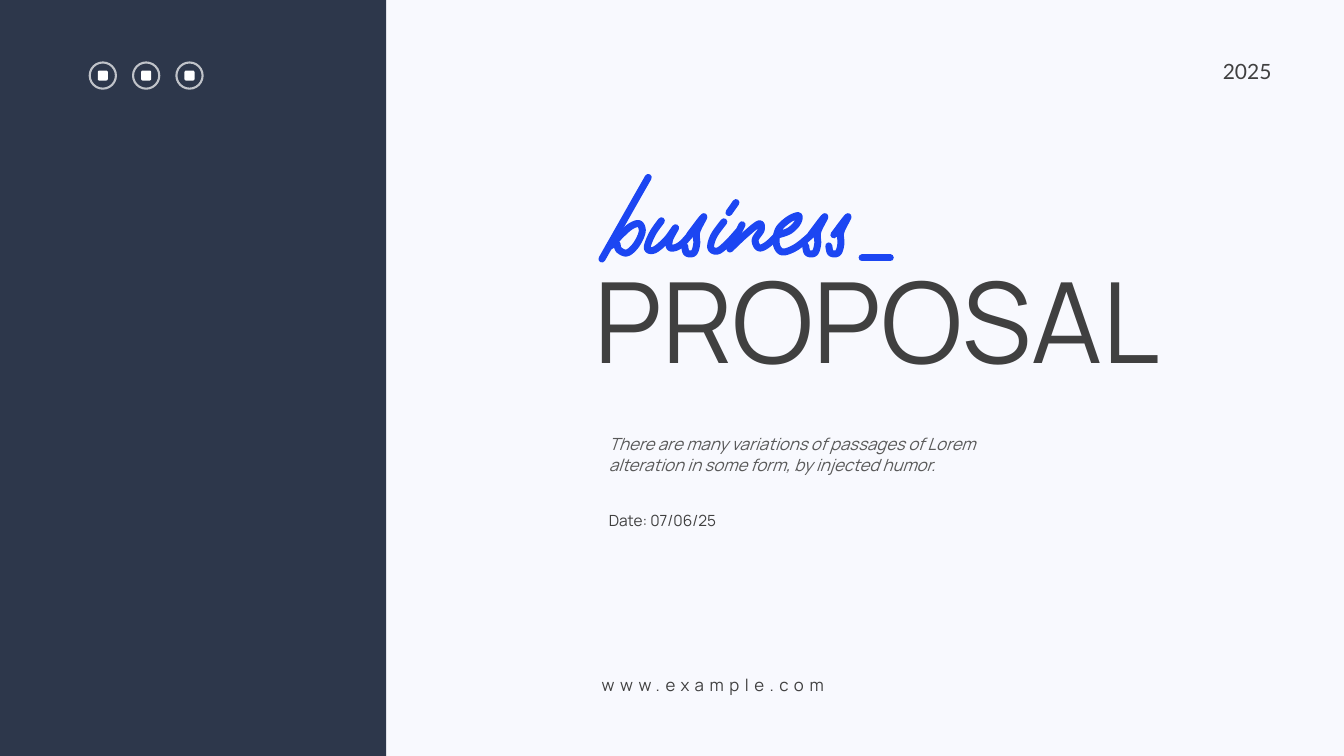
from dataclasses import dataclass

from lxml.etree import SubElement
from pptx import Presentation
from pptx.dml.color import RGBColor
from pptx.enum.shapes import MSO_SHAPE as Shape
from pptx.enum.text import MSO_AUTO_SIZE as AutoSize, PP_ALIGN as Align
from pptx.oxml.ns import qn
from pptx.util import Inches, Pt


@dataclass(frozen=True)
class Theme:
    navy: str = "2D374B"
    tint: str = "7790F7"
    blue: str = "1C46F2"
    white: str = "FFFFFF"
    dark: str = "404040"
    gray: str = "595959"
    sans: str = "Manrope"
    year_font: str = "Lato"
    title: int = 80
    year: int = 15
    body: int = 12
    small: int = 11
    ring: float = 1.5
    pen: float = 5


THEME = Theme()
UNITS_PER_INCH = 100
CURVE_STEPS = 6
BASELINE = 2.5

PEN_STROKES = {
    "b": [
        [(48, 74), (2, -7)],
        [(11, 6), (19, 15), (30, 25), (39, 28), (42, 20), (36, 7), (27, -1), (19, 2), (17, 8)],
    ],
    "u": [[(18, 31), (9, 18), (4, 4), (11, 2), (23, 12), (32, 24), (26, 12), (27, 4), (37, 7), (49, 20)]],
    "s": [[(11, 17), (25, 35), (18, 20), (18, 8), (15, -1), (8, -1), (6, 6)]],
    "i": [
        [(18, 30), (8, 16), (5, 4), (12, 1), (22, 9), (32, 20)],
        [(23, 39), (30, 49)],
    ],
    "n": [
        [(16, 27), (4, 3)],
        [(4, 3), (20, 18), (33, 28), (35, 22), (29, 12), (33, 4), (42, 8), (54, 20)],
    ],
    "e": [[(8, 17), (19, 21), (27, 29), (28, 36), (18, 32), (8, 22), (6, 8), (12, 0), (26, 5), (43, 19)]],
    "_": [[(5, -6), (33, -6)]],
}
LETTER_LEFTS = [5.95, 6.38, 6.73, 7.0, 7.2, 7.64, 7.93, 8.16, 8.5]


def rgb(color):
    return RGBColor.from_string(color)


def set_alpha(element, percent):
    for color in element.iter(qn("a:srgbClr")):
        SubElement(color, qn("a:alpha")).set("val", str(percent * 1000))


def add_block(shapes, kind, left, top, width, height, color):
    block = shapes.add_shape(kind, Inches(left), Inches(top), Inches(width), Inches(height))
    block.shadow.inherit = False
    block.fill.solid()
    block.fill.fore_color.rgb = rgb(color)
    block.line.fill.background()
    return block


def outline_only(shape, color, width):
    shape.shadow.inherit = False
    shape.fill.background()
    shape.line.color.rgb = rgb(color)
    shape.line.width = Pt(width)
    return shape.line._get_or_add_ln()


def add_badge(shapes, left, top, size=0.26, mark=0.1):
    ring = add_block(shapes, Shape.OVAL, left, top, size, size, THEME.white)
    set_alpha(outline_only(ring, THEME.white, THEME.ring), 70)
    inset = (size - mark) / 2
    add_block(shapes, Shape.ROUNDED_RECTANGLE, left + inset, top + inset, mark, mark, THEME.white)


def spline(before, start, end, after, t):
    return (
        2 * start
        + (end - before) * t
        + (2 * before - 5 * start + 4 * end - after) * t**2
        + (3 * start - before - 3 * end + after) * t**3
    ) / 2


def smooth(anchors):
    padded = [anchors[0], *anchors, anchors[-1]]
    curve = [anchors[0]]
    for window in zip(padded, padded[1:], padded[2:], padded[3:]):
        for step in range(1, CURVE_STEPS + 1):
            curve.append(tuple(spline(*axis, step / CURVE_STEPS) for axis in zip(*window)))
    return curve


def add_pen_stroke(shapes, anchors, left):
    points = [
        (Inches(left + across / UNITS_PER_INCH), Inches(BASELINE - up / UNITS_PER_INCH))
        for across, up in smooth(anchors)
    ]
    builder = shapes.build_freeform(*points[0], scale=1.0)
    builder.add_line_segments(points[1:], close=False)
    line = outline_only(builder.convert_to_shape(), THEME.blue, THEME.pen)
    line.set("cap", "rnd")
    SubElement(line, qn("a:round"))


def add_lettering(page, word):
    group = page.shapes.add_group_shape()
    for letter, left in zip(word, LETTER_LEFTS):
        for anchors in PEN_STROKES[letter]:
            add_pen_stroke(group.shapes, anchors, left)


def add_text(page, text, left, top, width, height, size, font=THEME.sans, color=THEME.dark,
             align=Align.LEFT, italic=False, leading=None, tracking=None):
    box = page.shapes.add_textbox(Inches(left), Inches(top), Inches(width), Inches(height))
    box.text_frame.word_wrap = True
    box.text_frame.auto_size = AutoSize.SHAPE_TO_FIT_TEXT
    para = box.text_frame.paragraphs[0]
    span = para.add_run()
    span.text = text
    para.alignment = align
    para.font.name = font
    para.font.size = Pt(size)
    para.font.italic = italic
    para.font.color.rgb = rgb(color)
    if leading:
        para.line_spacing = Pt(leading)
    if tracking:
        span._r.get_or_add_rPr().set("spc", str(tracking * 100))


def main():
    deck = Presentation()
    deck.slide_width, deck.slide_height = Inches(13.33), Inches(7.5)
    page = deck.slides.add_slide(deck.slide_layouts[6])

    panel = add_block(page.shapes, Shape.RECTANGLE, 3.83, 0, 9.5, 7.5, THEME.tint)
    set_alpha(panel.fill._xPr, 5)
    add_block(page.shapes, Shape.RECTANGLE, 0, 0, 3.83, 7.5, THEME.navy)

    add_text(page, "PROPOSAL", 5.8, 2.45, 6.38, 1.45, THEME.title)
    add_text(page, "Date: 07/06/25", 5.94, 5.02, 1.47, 0.29, THEME.small)
    badges = page.shapes.add_group_shape()
    for index in range(3):
        add_badge(badges.shapes, 0.89 + index * 0.43, 0.62)
    add_text(page, "2025", 11.95, 0.53, 0.76, 0.35, THEME.year, THEME.year_font, align=Align.RIGHT)
    add_text(page, "www.example.com", 5.87, 6.64, 2.77, 0.3, THEME.body, tracking=4)
    add_text(page, "There are many variations of passages of Lorem alteration in some form, by injected humor.",
             5.94, 4.25, 4.41, 0.52, THEME.body, color=THEME.gray, italic=True, leading=15)
    add_lettering(page, "business_")

    deck.save("out.pptx")


if __name__ == "__main__":
    main()
